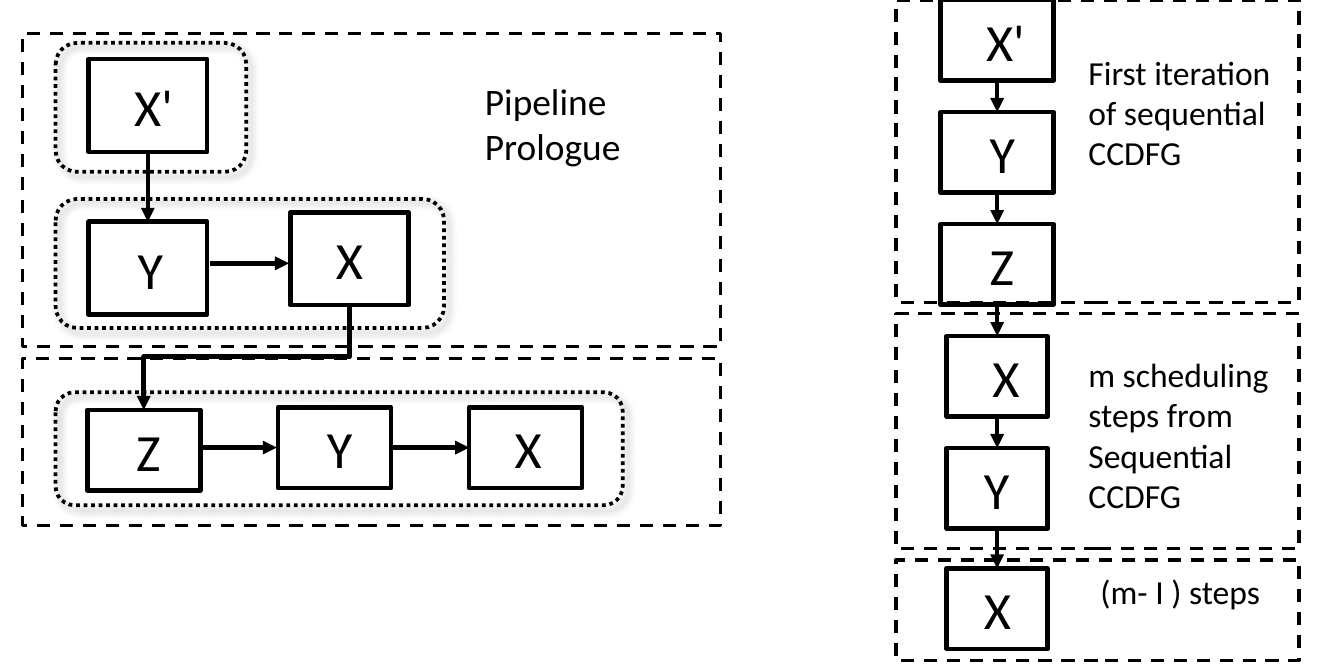
from itertools import pairwise

from lxml import etree
from pptx import Presentation
from pptx.dml.color import RGBColor
from pptx.enum.dml import MSO_LINE
from pptx.enum.shapes import MSO_CONNECTOR as Link, MSO_SHAPE as Shape
from pptx.enum.text import MSO_ANCHOR, PP_ALIGN
from pptx.oxml.ns import qn
from pptx.util import Pt

BLACK = RGBColor(0, 0, 0)
FONT = "Calibri"
TOP, LEFT, BOTTOM, RIGHT = range(4)
STAGE_SIZE = (60.5, 43.2)


class Diagram:
    def __init__(self, slide):
        self.shapes = slide.shapes

    def outline(self, kind, left, top, width, height, weight, dash=None):
        shape = self.shapes.add_shape(kind, Pt(left), Pt(top), Pt(width), Pt(height))
        shape.shadow.inherit = False
        shape.fill.background()
        shape.line.color.rgb = BLACK
        shape.line.width = Pt(weight)
        if dash is not None:
            shape.line.dash_style = dash
        return shape

    def region(self, *frame):
        return self.outline(Shape.RECTANGLE, *frame, 1.75, MSO_LINE.DASH)

    def step(self, *frame):
        """Dotted rounded frame with a soft shadow around one pipeline step."""
        shape = self.outline(Shape.ROUNDED_RECTANGLE, *frame, 2, MSO_LINE.ROUND_DOT)
        effects = shape._element.spPr.find(qn("a:effectLst"))
        shadow = etree.SubElement(
            effects, qn("a:outerShdw"), blurRad=str(Pt(4)), dist=str(Pt(3)),
            dir="2700000", algn="tl", rotWithShape="0")
        color = etree.SubElement(shadow, qn("a:srgbClr"), val=str(BLACK))
        etree.SubElement(color, qn("a:alpha"), val="40000")

    def set_text(self, frame, text, size):
        frame.word_wrap = True
        frame.text = text
        for para in frame.paragraphs:
            para.alignment = PP_ALIGN.LEFT
            for span in para.runs:
                span.font.name = FONT
                span.font.size = Pt(size)
                span.font.color.rgb = BLACK

    def stage(self, text, left, top, width, height, indent):
        box = self.outline(Shape.RECTANGLE, left, top, width, height, 2.5)
        frame = box.text_frame
        frame.vertical_anchor = MSO_ANCHOR.MIDDLE
        frame.margin_left, frame.margin_right = Pt(indent), 0
        self.set_text(frame, text, 28)
        return box

    def label(self, text, left, top, width, height, size=18):
        box = self.shapes.add_textbox(Pt(left), Pt(top), Pt(width), Pt(height))
        self.set_text(box.text_frame, text, size)

    def arrow(self, x1, y1, x2, y2, kind=Link.STRAIGHT):
        link = self.shapes.add_connector(kind, Pt(x1), Pt(y1), Pt(x2), Pt(y2))
        link.line.color.rgb = BLACK
        link.line.width = Pt(2.5)
        outline = link._element.spPr.find(qn("a:ln"))
        etree.SubElement(outline, qn("a:tailEnd"), type="triangle")
        etree.SubElement(link._element.spPr, qn("a:effectLst"))
        return link

    def join(self, source, source_side, target, target_side):
        link = self.arrow(0, 0, 0, 0)
        link.begin_connect(source, source_side)
        link.end_connect(target, target_side)

    def bent_arrow(self, x1, y1, x2, y2):
        """Arrow going down, across to the left and down again."""
        middle_x, middle_y = (x1 + x2) / 2, (y1 + y2) / 2
        half_run, half_drop = (x1 - x2) / 2, (y2 - y1) / 2
        link = self.arrow(middle_x - half_drop, middle_y - half_run,
                          middle_x + half_drop, middle_y + half_run, Link.ELBOW)
        link._element.spPr.find(qn("a:xfrm")).set("rot", "5400000")


def draw_pipeline(diagram):
    for top, height in ((18, 167.8), (192.2, 89.3)):
        diagram.region(12.2, top, 373.7, height)
    for top, width, height in ((23, 102.2, 69.1), (106.6, 208.1, 69.1),
                               (210.2, 303.8, 60.5)):
        diagram.step(29.8, top, width, height)
    diagram.label("Pipeline\nPrologue", 252.7, 38.2, 109.4, 95, 20)

    size = (63.4, 49.7)
    first_x = diagram.stage("X'", 47.5, 31.7, *size, 24.4)
    first_y = diagram.stage("Y", 47.5, 118.8, *size, 26.2)
    diagram.stage("X", 155.5, 113.8, *size, 24.4)
    diagram.join(first_x, BOTTOM, first_y, TOP)
    diagram.arrow(112.3, 141.1, 154.8, 141.1)

    diagram.stage("Z", 46.8, 219.6, *STAGE_SIZE, 26.2)
    last_y = diagram.stage("Y", 149, 218.2, *STAGE_SIZE, 26.2)
    last_x = diagram.stage("X", 251.3, 218.2, *STAGE_SIZE, 24.4)
    diagram.arrow(108.7, 239.8, 148.3, 239.8)
    diagram.join(last_y, RIGHT, last_x, LEFT)
    diagram.bent_arrow(187.2, 162.7, 77, 219.6)


def draw_sequence(diagram):
    for top, height in ((0, 162), (168, 126), (300, 54)):
        diagram.region(480, top, 216, height)
    diagram.label("First iteration of sequential CCDFG", 576, 24, 120, 72.7)
    diagram.label("m scheduling steps from Sequential CCDFG", 576, 186, 113, 94.3)
    diagram.label("(m- I ) steps", 582.5, 302.4, 113, 28.8)

    width, height = STAGE_SIZE
    center = 534.2
    stages = [
        diagram.stage(text, center - wide / 2, top, wide, height, indent)
        for text, top, wide, indent in (
            ("X'", 0, width, 24.4), ("Y", 60, width, 26.2), ("Z", 120, width, 26.2),
            ("X", 180, 54, 24.4), ("Y", 240, 54, 19.9), ("X", 304.5, 54, 19.9))
    ]
    for upper, lower in pairwise(stages):
        diagram.join(upper, BOTTOM, lower, TOP)


def main():
    deck = Presentation()
    deck.slide_width, deck.slide_height = Pt(720), Pt(360)
    page = deck.slides.add_slide(deck.slide_layouts[6])
    diagram = Diagram(page)
    draw_pipeline(diagram)
    draw_sequence(diagram)
    deck.save("out.pptx")


if __name__ == "__main__":
    main()
